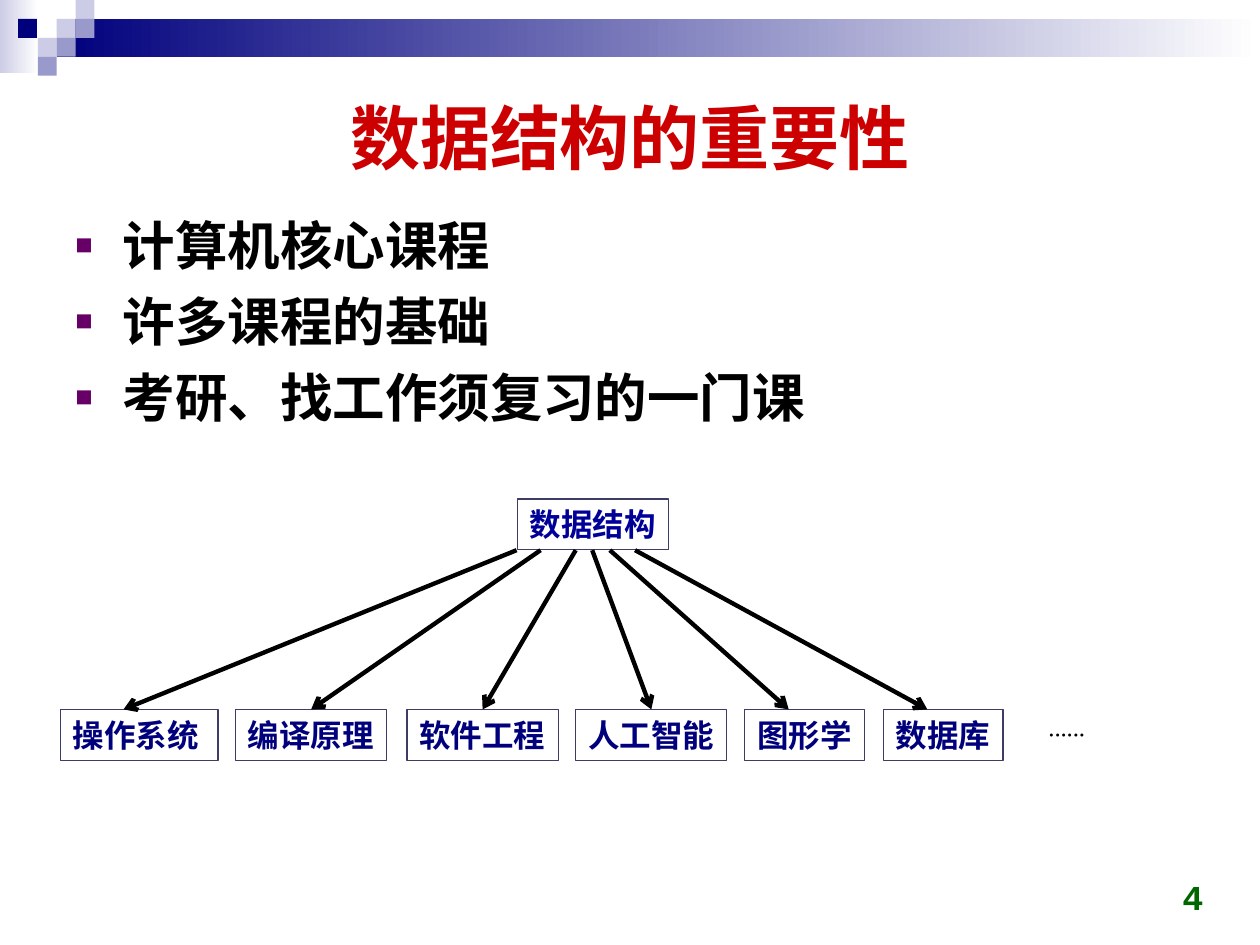
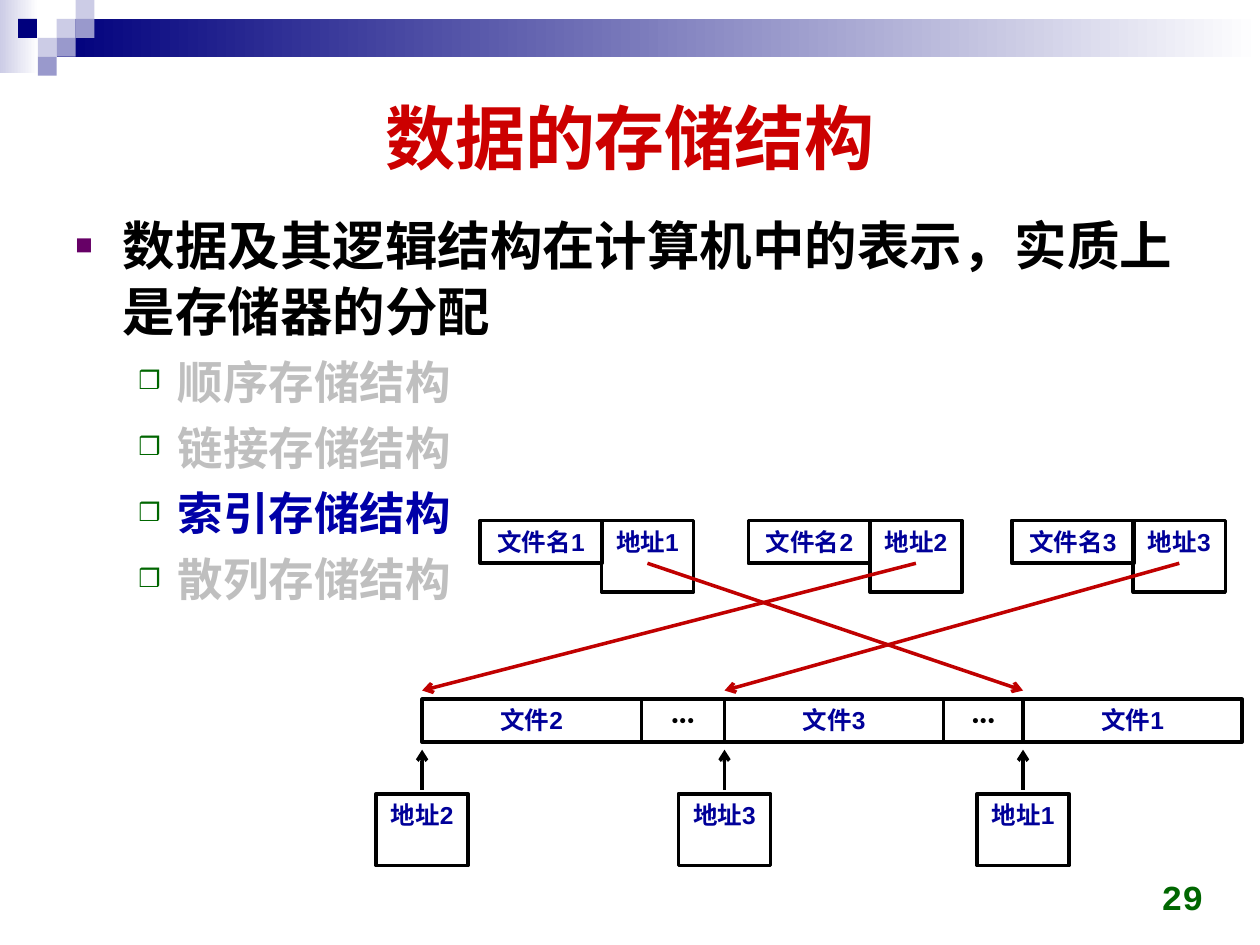
import pptx
import pptx.dml.color
import pptx.enum.dml
import pptx.enum.shapes
import pptx.enum.text
import pptx.oxml.ns
import pptx.util
from lxml import etree

Pt = pptx.util.Pt
ALIGN = pptx.enum.text.PP_ALIGN
ANCHOR = pptx.enum.text.MSO_ANCHOR
RECTANGLE = pptx.enum.shapes.MSO_SHAPE.RECTANGLE

NAVY, LAVENDER, PERIWINKLE, WHITE, BLACK = "00007D", "CCCCE6", "9999CC", "FFFFFF", "000000"
RED, GREEN, PURPLE, BLUE = "CC0000", "006600", "660066", "000099"
FADED, HIGHLIGHT, COURSE_EDGE, LINK_RED = "BFBFBF", "0000A8", "3C3C65", "C00000"

TITLE = {"size": 40, "bold": True, "color": RED}
PAGE_NUMBER = {"size": 20, "bold": True, "color": GREEN, "name": "Courier New"}
COURSE = {"size": 18, "bold": True, "color": NAVY}
CELL = {"size": 14, "bold": True, "color": BLUE}
GAP = {"size": 18, "bold": True, "color": BLACK, "name": "Times New Roman"}
DOTS = {"size": 4, "color": BLACK}

# Outline levels: bullet, its colour, left indent, hanging, space before, text size
LEVELS = [("■", PURPLE, 27, 27, 5.6, 30), ("❒", GREEN, 58.5, 22.5, 4.9, 26)]

MOSAIC_CELL = 10.8
MOSAIC = [(3, 1, LAVENDER), (4, 0, LAVENDER), (4, 1, PERIWINKLE), (2, 2, LAVENDER),
          (3, 2, PERIWINKLE), (2, 3, PERIWINKLE)]

# Course name, box left, box width, arrow start, arrow tip
COURSES = [("操作系统 ", 34.6, 90, 295.2, 70.6),
           ("编译原理", 134.6, 86.4, 308.9, 177.8),
           ("软件工程", 232.6, 86.4, 329, 275.8),
           ("人工智能", 329, 86.4, 338.4, 372.2),
           ("图形学", 425.5, 68.4, 348.5, 450.7),
           ("数据库", 504.7, 68.4, 362.9, 529.9)]

INDEX_LEFTS = {1: 274.3, 2: 427.7, 3: 578.2}
FILE_LEFTS = {2: 241.2, 3: 414, 1: 584.6}
FILE_WIDTH, NAME_WIDTH, NAME_STEP, ADDRESS_WIDTH = 125.3, 69.8, 69.4, 52.6
ROW_HEIGHT, ADDRESS_HEIGHT = 24.5, 41
INDEX_TOP, MEMORY_TOP, ADDRESS_TOP = 297.4, 399.6, 453.6


def rgb(value):
    return pptx.dml.color.RGBColor.from_string(value)


def apply_format(target, values):
    for name, value in values.items():
        setattr(target, name, value)


def add_run(paragraph, text, style):
    run = paragraph.add_run()
    run.text = text
    values = {"name": "Arial", **style, "size": Pt(style["size"])}
    run.font.color.rgb = rgb(values.pop("color"))
    apply_format(run.font, values)


def write(shape, text, style, paragraph_format, frame_format):
    """Put one styled paragraph into a shape."""
    apply_format(shape.text_frame, {"word_wrap": True, "vertical_anchor": ANCHOR.TOP,
                                    **frame_format})
    paragraph = shape.text_frame.paragraphs[0]
    apply_format(paragraph, {"alignment": ALIGN.LEFT, **paragraph_format})
    add_run(paragraph, text, style)


def add_rectangle(slide, left, top, width, height):
    shape = slide.shapes.add_shape(RECTANGLE, Pt(left), Pt(top), Pt(width), Pt(height))
    shape.shadow.inherit = False
    return shape


def add_block(slide, left, top, width, height, color, fade_to=None):
    """Add a borderless block, plain or fading from left to right."""
    block = add_rectangle(slide, left, top, width, height)
    block.line.fill.background()
    if fade_to is None:
        block.fill.solid()
        block.fill.fore_color.rgb = rgb(color)
        return
    block.fill.gradient()
    block.fill.gradient_angle = 0
    for stop, value in zip(block.fill.gradient_stops, (color, fade_to)):
        stop.color.rgb = rgb(value)


def add_box(slide, text, left, top, width, height, style, edge=BLACK, weight=2,
            paragraph_format=None, frame_format=None):
    """Add an unfilled, outlined box holding one line of text."""
    box = add_rectangle(slide, left, top, width, height)
    box.fill.background()
    box.line.color.rgb = rgb(edge)
    box.line.width = Pt(weight)
    write(box, text, style, paragraph_format or {"alignment": ALIGN.CENTER},
          frame_format or {})


def add_label(slide, text, left, top, width, height, style, align=ALIGN.LEFT,
              anchor=ANCHOR.TOP):
    label = slide.shapes.add_textbox(Pt(left), Pt(top), Pt(width), Pt(height))
    write(label, text, style, {"alignment": align}, {"vertical_anchor": anchor})


def add_arrow(slide, start, tip, color=BLACK, weight=2):
    arrow = slide.shapes.add_connector(pptx.enum.shapes.MSO_CONNECTOR.STRAIGHT,
                                       *(Pt(value) for value in (*start, *tip)))
    arrow.line.color.rgb = rgb(color)
    arrow.line.width = Pt(weight)
    qn = pptx.oxml.ns.qn
    etree.SubElement(arrow.line._get_or_add_ln(), qn("a:tailEnd"), type="arrow")
    etree.SubElement(arrow._element.spPr, qn("a:effectLst"))


def add_bullet(paragraph, symbol, color, left, hanging):
    qn = pptx.oxml.ns.qn
    properties = paragraph._p.get_or_add_pPr()
    properties.set("marL", str(Pt(left)))
    properties.set("indent", str(-Pt(hanging)))
    bullet_color = etree.SubElement(properties, qn("a:buClr"))
    etree.SubElement(bullet_color, qn("a:srgbClr"), val=color)
    etree.SubElement(properties, qn("a:buSzPct"), val="55000")
    etree.SubElement(properties, qn("a:buFont"), typeface="Arial")
    etree.SubElement(properties, qn("a:buChar"), char=symbol)


def add_outline(slide, points):
    """Add the bulleted body from (level, text, colour) points."""
    frame = slide.shapes.add_textbox(Pt(36), Pt(116.6), Pt(648), Pt(374.4)).text_frame
    frame.word_wrap = True
    for index, (level, text, color) in enumerate(points):
        paragraph = frame.add_paragraph() if index else frame.paragraphs[0]
        symbol, symbol_color, left, hanging, space, size = LEVELS[level]
        add_bullet(paragraph, symbol, symbol_color, left, hanging)
        apply_format(paragraph, {"level": level, "line_spacing": 1.05,
                                 "space_before": Pt(space if index else 0)})
        add_run(paragraph, text, {"size": size, "bold": True, "color": color})


def add_content_slide(deck, title, number):
    """Add a slide with the shared band, mosaic, title and page number."""
    slide = deck.slides.add_slide(deck.slide_layouts[6])
    add_block(slide, 0, 0, 22, 41.8, LAVENDER, WHITE)
    add_block(slide, 32.4, 10.8, 687.6, 21.6, NAVY, WHITE)
    for column, row, color in MOSAIC:
        add_block(slide, column * MOSAIC_CELL, row * MOSAIC_CELL, MOSAIC_CELL, MOSAIC_CELL, color)
    add_block(slide, 10.3, MOSAIC_CELL, MOSAIC_CELL, MOSAIC_CELL, NAVY)
    add_label(slide, title, 36, 36, 648, 83.5, TITLE, ALIGN.CENTER, ANCHOR.MIDDLE)
    add_label(slide, str(number), 527, 491.8, 167.8, 36, PAGE_NUMBER, ALIGN.RIGHT, ANCHOR.BOTTOM)
    return slide


def add_course_tree(slide):
    look = {"edge": COURSE_EDGE, "weight": 0.75, "frame_format": {"word_wrap": False},
            "paragraph_format": {"alignment": ALIGN.LEFT}}
    add_box(slide, "数据结构", 295.6, 285.1, 86.4, 29, {**COURSE, "color": BLUE}, **look)
    for name, left, width, start, tip in COURSES:
        add_box(slide, name, left, 405.4, width, 29, COURSE, **look)
        add_arrow(slide, (start, 314.4), (tip, 405.4), weight=2.5)
    add_label(slide, "● ● ● ● ● ●", 592.6, 414, 45.4, 12.2, DOTS)


def add_index_diagram(slide):
    """Draw the index entries, the memory row and the addresses that join them."""
    for file, left in INDEX_LEFTS.items():
        add_box(slide, f"文件名{file}", left, INDEX_TOP, NAME_WIDTH, ROW_HEIGHT, CELL)
        add_box(slide, f"地址{file}", left + NAME_STEP, INDEX_TOP, ADDRESS_WIDTH,
                ADDRESS_HEIGHT, CELL)
    for file, left in FILE_LEFTS.items():
        add_box(slide, f"文件{file}", left, MEMORY_TOP, FILE_WIDTH, ROW_HEIGHT, CELL)
        add_arrow(slide, (left, 451.4), (left, 428.4))
        add_box(slide, f"地址{file}", left - ADDRESS_WIDTH / 2, ADDRESS_TOP, ADDRESS_WIDTH,
                ADDRESS_HEIGHT, CELL)

    tight = {"vertical_anchor": ANCHOR.MIDDLE, "margin_left": Pt(1.4), "margin_right": Pt(1.4),
             "margin_top": Pt(0.7), "margin_bottom": Pt(0.7)}
    lefts = list(FILE_LEFTS.values())
    for left, following in zip(lefts, lefts[1:]):
        gap_left = left + FILE_WIDTH
        add_box(slide, "∙∙∙", gap_left, MEMORY_TOP, following - gap_left, ROW_HEIGHT, GAP,
                paragraph_format={"alignment": ALIGN.CENTER, "line_spacing": 0.96},
                frame_format=tight)

    for file, left in INDEX_LEFTS.items():
        address_center = left + NAME_STEP + ADDRESS_WIDTH / 2
        add_arrow(slide, (address_center, INDEX_TOP + ROW_HEIGHT), (FILE_LEFTS[file], 394.6),
                  LINK_RED)


def main():
    deck = pptx.Presentation()
    apply_format(deck, {"slide_width": Pt(720), "slide_height": Pt(540)})

    importance = add_content_slide(deck, "数据结构的重要性", 4)
    add_outline(importance, [(0, "计算机核心课程", BLACK), (0, "许多课程的基础", BLACK),
                             (0, "考研、找工作须复习的一门课", BLACK)])
    add_course_tree(importance)

    storage = add_content_slide(deck, "数据的存储结构", 29)
    add_outline(storage, [
        (0, "数据及其逻辑结构在计算机中的表示，实质上是存储器的分配", BLACK),
        (1, "顺序存储结构", FADED), (1, "链接存储结构", FADED),
        (1, "索引存储结构", HIGHLIGHT), (1, "散列存储结构", FADED)])
    add_index_diagram(storage)

    deck.save("out.pptx")


if __name__ == "__main__":
    main()
